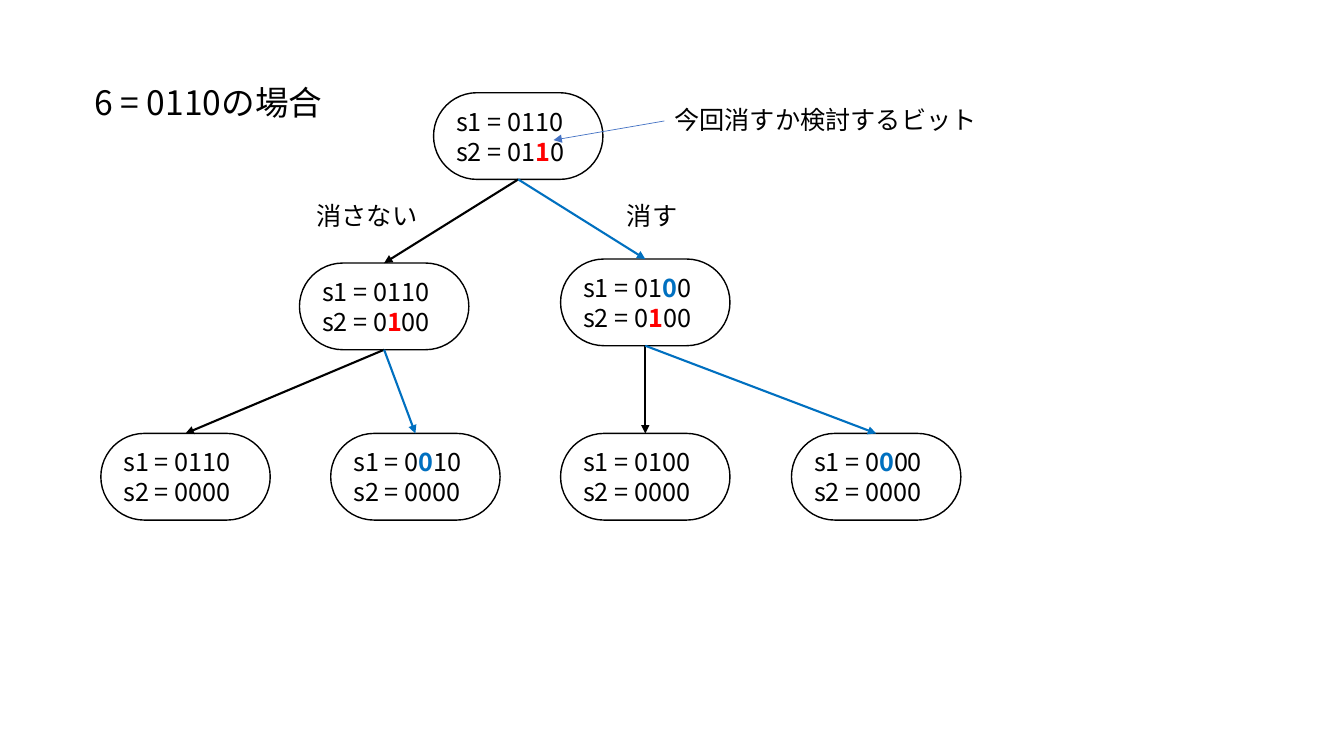
"""Build a slide with a binary tree that enumerates the submasks of 0110."""
from dataclasses import dataclass
from typing import Optional

from lxml import etree
from pptx import Presentation
from pptx.dml.color import RGBColor
from pptx.enum.shapes import MSO_CONNECTOR, MSO_SHAPE
from pptx.enum.text import MSO_ANCHOR, MSO_AUTO_SIZE, PP_ALIGN
from pptx.oxml.ns import qn
from pptx.shapes.autoshape import Shape
from pptx.shapes.connector import Connector
from pptx.slide import Slide
from pptx.text.text import _Paragraph
from pptx.util import Emu, Pt

STRAIGHT = MSO_CONNECTOR.STRAIGHT
ROUNDED = MSO_SHAPE.ROUNDED_RECTANGLE
MIDDLE = MSO_ANCHOR.MIDDLE
FIT_TEXT = MSO_AUTO_SIZE.SHAPE_TO_FIT_TEXT
LEFT = PP_ALIGN.LEFT

EMU_PER_PX = 9144
FONT = "Noto Sans CJK JP"
COLORS = {
    "black": "000000",
    "candidate": "FF0000",
    "erased": "0070C0",
    "pointer": "4472C4",
}
NODE_WIDTH, NODE_HEIGHT = 168, 86
TOP_SITE, BOTTOM_SITE = 0, 2


@dataclass(frozen=True)
class Node:
    name: str
    left: int
    top: int
    s1: str
    s2: str
    erased: Optional[int] = None
    candidate: Optional[int] = None


@dataclass(frozen=True)
class Branch:
    parent: str
    child: str
    color: str


@dataclass(frozen=True)
class Label:
    text: str
    left: int
    top: int
    width: int
    height: int = 40
    size: int = 18


NODES = [
    Node("root", 430, 92, "0110", "0110", candidate=2),
    Node("keep", 297, 261, "0110", "0100", candidate=1),
    Node("erase", 556, 257, "0100", "0100", erased=2, candidate=1),
    Node("keep-keep", 100, 430, "0110", "0000"),
    Node("keep-erase", 328, 430, "0010", "0000", erased=1),
    Node("erase-keep", 556, 430, "0100", "0000"),
    Node("erase-erase", 785, 430, "0000", "0000", erased=1),
]
BRANCHES = [
    Branch("root", "keep", "black"),
    Branch("root", "erase", "erased"),
    Branch("keep", "keep-keep", "black"),
    Branch("keep", "keep-erase", "erased"),
    Branch("erase", "erase-keep", "black"),
    Branch("erase", "erase-erase", "erased"),
]
LABELS = [
    Label("6 = 0110の場合", 84, 76, 259, 50, 24),
    Label("消す", 612, 194, 71),
    Label("消さない", 304, 194, 121),
    Label("今回消すか検討するビット", 659, 99, 323),
]


def px(length: int) -> Emu:
    return Emu(length * EMU_PER_PX)


def rgb(color: str) -> RGBColor:
    return RGBColor.from_string(COLORS[color])


def style_paragraph(paragraph: _Paragraph, size: int) -> None:
    paragraph.alignment = LEFT
    font = paragraph.font
    font.size = Pt(size)
    font.color.rgb = rgb("black")
    font.name = FONT
    properties = paragraph._p.pPr.find(qn("a:defRPr"))
    etree.SubElement(properties, qn("a:ea"), typeface=FONT)


def add_bits(paragraph: _Paragraph, name: str, bits: str,
             marked: Optional[int], color: str) -> None:
    style_paragraph(paragraph, 18)
    if marked is None:
        paragraph.add_run().text = f"{name} = {bits}"
        return
    paragraph.add_run().text = f"{name} = {bits[:marked]}"
    digit = paragraph.add_run()
    digit.text = bits[marked]
    digit.font.bold = True
    digit.font.color.rgb = rgb(color)
    paragraph.add_run().text = bits[marked + 1:]


def add_node(slide: Slide, node: Node) -> Shape:
    shape = slide.shapes.add_shape(
        ROUNDED, px(node.left), px(node.top), px(NODE_WIDTH), px(NODE_HEIGHT))
    shape.adjustments[0] = 0.5
    shape.shadow.inherit = False
    shape.fill.background()
    shape.line.color.rgb = rgb("black")
    shape.line.width = Pt(1)
    frame = shape.text_frame
    frame.vertical_anchor = MIDDLE
    add_bits(frame.paragraphs[0], "s1", node.s1, node.erased, "erased")
    add_bits(frame.add_paragraph(), "s2", node.s2, node.candidate, "candidate")
    return shape


def style_arrow(connector: Connector, color: str, width: float) -> None:
    connector.line.color.rgb = rgb(color)
    connector.line.width = Pt(width)
    etree.SubElement(connector.line._get_or_add_ln(), qn("a:tailEnd"), type="triangle")
    etree.SubElement(connector._element.spPr, qn("a:effectLst"))


def add_branch(slide: Slide, branch: Branch, shapes: dict[str, Shape]) -> None:
    connector = slide.shapes.add_connector(STRAIGHT, 0, 0, 0, 0)
    connector.begin_connect(shapes[branch.parent], BOTTOM_SITE)
    connector.end_connect(shapes[branch.child], TOP_SITE)
    style_arrow(connector, branch.color, 1.5)


def add_label(slide: Slide, label: Label) -> None:
    box = slide.shapes.add_textbox(
        px(label.left), px(label.top), px(label.width), px(label.height))
    frame = box.text_frame
    frame.word_wrap = False
    frame.auto_size = FIT_TEXT
    paragraph = frame.paragraphs[0]
    paragraph.add_run().text = label.text
    style_paragraph(paragraph, label.size)


def main() -> None:
    presentation = Presentation()
    presentation.slide_width, presentation.slide_height = px(1333), px(750)
    slide = presentation.slides.add_slide(presentation.slide_layouts[6])
    shapes = {node.name: add_node(slide, node) for node in NODES}
    for branch in BRANCHES:
        add_branch(slide, branch, shapes)
    for label in LABELS:
        add_label(slide, label)
    pointer = slide.shapes.add_connector(
        STRAIGHT, px(659), px(120), px(549), px(139))
    style_arrow(pointer, "pointer", 0.5)
    presentation.save("out.pptx")


if __name__ == "__main__":
    main()
